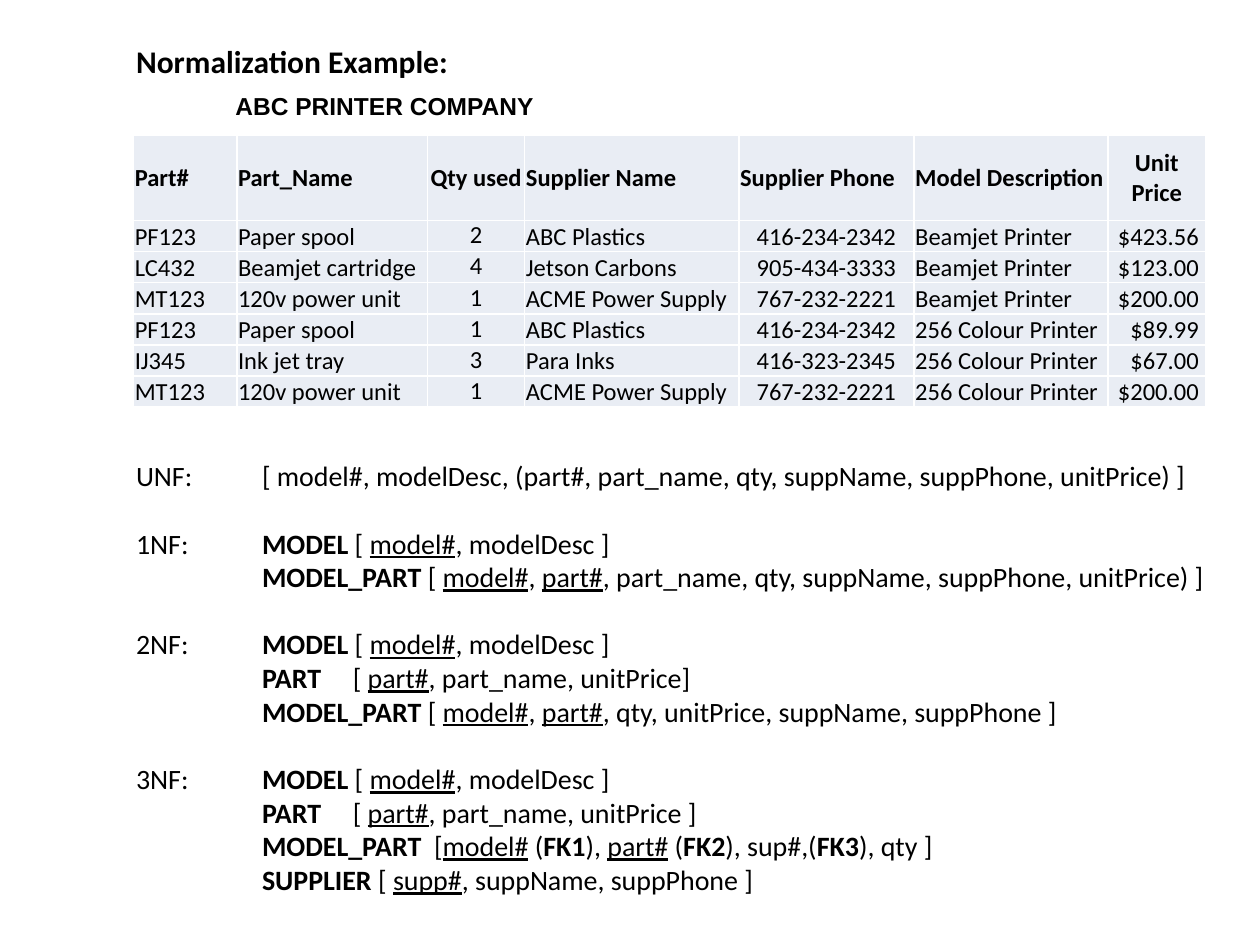
import pptx
import pptx.util
import pptx.dml.color
import pptx.enum.text
import pptx.oxml
import pptx.oxml.ns

HUES = {"ink": "000000", "cell": "E9EDF4", "rule": "FFFFFF"}
UNIT = pptx.util.Inches(0.1)
ALIGN = pptx.enum.text.PP_ALIGN
ANCHOR = pptx.enum.text.MSO_ANCHOR
LEFT, MID, RIGHT = ALIGN.LEFT, ALIGN.CENTER, ALIGN.RIGHT

COLS = [8.2, 15.15, 7.7, 17, 13.9, 15.4, 7.75]
ROWS = [6.8] + [2.43] * 6
SIDES = [LEFT, LEFT, MID, LEFT, MID, LEFT, RIGHT]
HEADS = [LEFT, LEFT, MID, LEFT, LEFT, LEFT, MID]
PARTS = [
    ["Part#", "Part_Name", "Qty used", "Supplier Name", "Supplier Phone", "Model Description", "Unit Price"],
    ["PF123", "Paper spool", "2", "ABC Plastics", "416-234-2342", "Beamjet Printer", "$423.56 "],
    ["LC432", "Beamjet cartridge", "4", "Jetson Carbons", "905-434-3333", "Beamjet Printer", "$123.00 "],
    ["MT123", "120v power unit", "1", "ACME Power Supply", "767-232-2221", "Beamjet Printer", "$200.00 "],
    ["PF123", "Paper spool", "1", "ABC Plastics", "416-234-2342", "256 Colour Printer", "$89.99 "],
    ["IJ345", "Ink jet tray", "3", "Para Inks", "416-323-2345", "256 Colour Printer", "$67.00 "],
    ["MT123", "120v power unit", "1", "ACME Power Supply", "767-232-2221", "256 Colour Printer", "$200.00 "],
]
MODEL = "*MODEL* [ ~model#~, modelDesc ]"
FORMS = {
    "UNF:": ["[ model#, modelDesc, (part#, part_name, qty, suppName, suppPhone, unitPrice) ]"],
    "1NF: ": [
        MODEL,
        "*MODEL_PART* [ ~model#~, ~part#~, part_name, qty, suppName, suppPhone, unitPrice) ]",
    ],
    "2NF: ": [
        MODEL,
        "*PART*^[ ~part#~, part_name, unitPrice]",
        "*MODEL_PART* [ ~model#~, ~part#~, qty, unitPrice, suppName, suppPhone ]",
    ],
    "3NF: ": [
        MODEL,
        "*PART*^[ ~part#~, part_name, unitPrice ]",
        "*MODEL_PART*  [~model#~ (*FK1*), ~part#~ (*FK2*), sup#,(*FK3*), qty ]",
        "*SUPPLIER* [ ~supp#~, suppName, suppPhone ]",
    ],
}


def apply(item, look):
    for name, value in look.items():
        setattr(item, name, value)


def grid(box):
    return [round(n * UNIT) for n in box]


def place(shape, box):
    apply(shape, dict(zip(("left", "top", "width", "height"), grid(box))))


def write(para, text, size, face="Calibri", bold=False, line=False):
    run = para.add_run()
    run.text = text
    apply(run.font, {"size": pptx.util.Pt(size), "name": face, "bold": bold, "underline": line})
    run.font.color.rgb = pptx.dml.color.RGBColor.from_string(HUES["ink"])
    return run


def mark(para, text, size):
    for g, piece in enumerate(text.split("^")):
        if g:
            gap = write(para, " ", size)
            gap._r.get_or_add_rPr().set("spc", "1440")
        for i, part in enumerate(piece.split("*")):
            for j, bit in enumerate(part.split("~")):
                if bit:
                    write(para, bit, size, bold=i % 2 == 1, line=j % 2 == 1)


def head(shape, box, text, size, face, wrap):
    place(shape, box)
    frame = shape.text_frame
    apply(frame, {
        "word_wrap": wrap,
        "vertical_anchor": ANCHOR.TOP,
        "auto_size": pptx.enum.text.MSO_AUTO_SIZE.NONE,
    })
    para = frame.paragraphs[0]
    para.alignment = LEFT
    write(para, text, size, face, bold=True)


def border(cell):
    props = cell._tc.get_or_add_tcPr()
    for side in ("lnL", "lnR", "lnT", "lnB"):
        props.append(pptx.oxml.parse_xml(
            f'<a:{side} {pptx.oxml.ns.nsdecls("a")} w="12700"><a:solidFill>'
            f'<a:srgbClr val="{HUES["rule"]}"/></a:solidFill></a:{side}>'))


def table(slide, box):
    parts = slide.shapes.add_table(len(ROWS), len(COLS), *grid(box)).table
    apply(parts, {"first_row": False, "horz_banding": False})
    for col, wide in zip(parts.columns, COLS):
        col.width = round(wide * UNIT)
    for r, (row, tall) in enumerate(zip(parts.rows, ROWS)):
        row.height = round(tall * UNIT)
        for c, cell in enumerate(row.cells):
            qty = c == 2
            inset = pptx.util.Inches(0 if qty else 0.01)
            low = ANCHOR.TOP if qty else ANCHOR.BOTTOM
            apply(cell, {
                "margin_left": inset, "margin_right": inset,
                "margin_top": inset, "margin_bottom": 0,
                "vertical_anchor": low if r else ANCHOR.MIDDLE,
            })
            border(cell)
            cell.fill.solid()
            cell.fill.fore_color.rgb = pptx.dml.color.RGBColor.from_string(HUES["cell"])
            para = cell.text_frame.paragraphs[0]
            para.alignment = SIDES[c] if r else HEADS[c]
            write(para, PARTS[r][c], 14, bold=r == 0)


def indent(para, hang):
    apply(para, {"alignment": LEFT, "line_spacing": 1.0})
    props = para._p.get_or_add_pPr()
    step = 10 * UNIT
    props.set("marL", str(step))
    props.set("indent", str(-step if hang else 0))
    props.append(pptx.oxml.parse_xml(f'<a:buNone {pptx.oxml.ns.nsdecls("a")}/>'))


def forms(shape, box):
    place(shape, box)
    frame = shape.text_frame
    apply(frame, {"word_wrap": True, "auto_size": pptx.enum.text.MSO_AUTO_SIZE.NONE})
    para = frame.paragraphs[0]
    for n, (label, lines) in enumerate(FORMS.items()):
        for i, text in enumerate(lines):
            if n or i:
                para = frame.add_paragraph()
            para.space_before = pptx.util.Pt(19.3 if n and not i else 0)
            indent(para, i == 0)
            mark(para, text if i else label + "\t" + text, 16)


def main():
    deck = pptx.Presentation()
    apply(deck, {"slide_width": 100 * UNIT, "slide_height": 75 * UNIT})
    slide = deck.slides.add_slide(deck.slide_layouts[1])
    title, body = slide.shapes.title, slide.placeholders[1]
    head(title, (9.8, 2.85, 27.6, 7.1), "Normalization Example:", 18, "Calibri", False)
    table(slide, (10.6, 10.7, sum(COLS), sum(ROWS)))
    name = slide.shapes.add_textbox(0, 0, 0, 0)
    head(name, (17.7, 6.7, 54.6, 6.4), "ABC PRINTER COMPANY", 14, "Arial", True)
    forms(body, (9.8, 35.9, 88.2, 36))
    deck.save("out.pptx")


if __name__ == "__main__":
    main()
